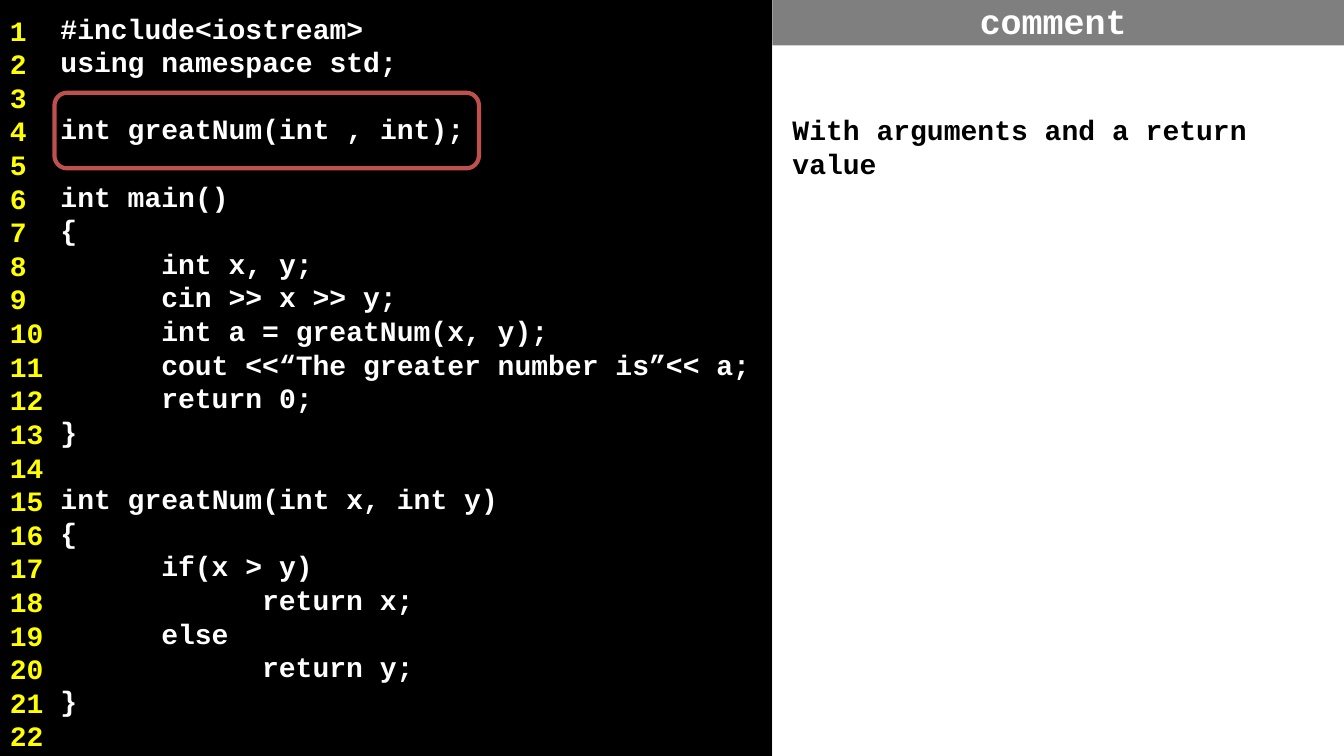
import pptx
import pptx.util
import pptx.dml.color
import pptx.enum.shapes
import pptx.enum.text
import pptx.oxml
import pptx.oxml.ns

Inches = pptx.util.Inches
Pt = pptx.util.Pt
SHAPES = pptx.enum.shapes.MSO_SHAPE
ALIGN = pptx.enum.text.PP_ALIGN
ANCHOR = pptx.enum.text.MSO_ANCHOR

COLORS = {
    "code": "000000",
    "text": "FFFFFF",
    "number": "FFFF00",
    "paper": "FFFFFF",
    "note": "000000",
    "header": "7F7F7F",
    "highlight": "C0504D",
}
FONT = "Courier New"
LINE_PITCH = 24
TAB_WIDTH = 1
SPLIT = 7.66
SIDE = 5.67
GUTTER = 0.58

CODE = """#include<iostream>
using namespace std;

int greatNum(int , int);

int main()
{
\tint x, y;
\tcin >> x >> y;
\tint a = greatNum(x, y);
\tcout <<“The greater number is”<< a;
\treturn 0;
}

int greatNum(int x, int y)
{
\tif(x > y)
\t\treturn x;
\telse
\t\treturn y;
}"""


def rgb(name):
    """Return the named colour."""
    return pptx.dml.color.RGBColor.from_string(COLORS[name])


def add_panel(page, left, top, width, height, color, opacity=100):
    """Add a borderless filled rectangle."""
    panel = page.shapes.add_shape(
        SHAPES.RECTANGLE, Inches(left), Inches(top), Inches(width), Inches(height))
    panel.shadow.inherit = False
    panel.line.fill.background()
    panel.fill.solid()
    panel.fill.fore_color.rgb = rgb(color)
    if opacity < 100:
        tint = panel.fill._xPr.find(".//" + pptx.oxml.ns.qn("a:srgbClr"))
        alpha = pptx.oxml.parse_xml(
            "<a:alpha %s val='%d'/>" % (pptx.oxml.ns.nsdecls("a"), opacity * 1000))
        tint.append(alpha)
    return panel


def prepare_frame(panel, insets, anchor=ANCHOR.TOP):
    """Set the left, top, right and bottom insets and the anchor."""
    frame = panel.text_frame
    frame.word_wrap = True
    frame.vertical_anchor = anchor
    (frame.margin_left, frame.margin_top,
     frame.margin_right, frame.margin_bottom) = map(Inches, insets)
    return frame


def format_para(para, color, size=20, align=ALIGN.LEFT):
    """Apply the bold code font and the tab width to a paragraph."""
    para.alignment = align
    para._p.get_or_add_pPr().set("defTabSz", str(Inches(TAB_WIDTH)))
    for span in para.runs:
        span.font.name = FONT
        span.font.size = Pt(size)
        span.font.bold = True
        span.font.color.rgb = rgb(color)


def write_lines(panel, lines, color, insets):
    """Write lines on a fixed pitch; an empty line becomes space before."""
    frame = prepare_frame(panel, insets)
    skipped = 0
    for index, line in enumerate(lines):
        if not line:
            skipped += 1
            continue
        para = frame.add_paragraph() if index else frame.paragraphs[0]
        para.text = line
        para.line_spacing = Pt(LINE_PITCH)
        para.space_before = Pt(skipped * LINE_PITCH)
        format_para(para, color)
        skipped = 0


def add_header(page, title):
    """Add the title bar above the comments."""
    header = add_panel(page, SPLIT, 0, SIDE, 0.45, "header")
    frame = prepare_frame(header, (0, 0.05, 0.1, 0.1), ANCHOR.MIDDLE)
    frame.text = title
    format_para(frame.paragraphs[0], "text", 25, ALIGN.CENTER)


def add_highlight(page, left, top, width, height):
    """Add a rounded outline around a piece of code."""
    outline = page.shapes.add_shape(
        SHAPES.ROUNDED_RECTANGLE,
        Inches(left), Inches(top), Inches(width), Inches(height))
    outline.shadow.inherit = False
    outline.fill.background()
    outline.line.color.rgb = rgb("highlight")
    outline.line.width = Pt(3)


def main():
    """Build the code slide."""
    deck = pptx.Presentation()
    deck.slide_width, deck.slide_height = Inches(13.33), Inches(7.5)
    page = deck.slides.add_slide(deck.slide_layouts[6])

    code = add_panel(page, 0, 0, SPLIT, 7.5, "code")
    write_lines(code, CODE.split("\n"), "text", (0.6, 0.11, 0.1, 0))

    add_panel(page, 0, 0, GUTTER, 0.08, "code", 68)
    gutter = add_panel(page, 0, 0.08, GUTTER, 7.42, "code", 68)
    numbers = [str(number) for number in range(1, 23)]
    write_lines(gutter, numbers, "number", (0.1, 0.05, 0.1, 0))

    comments = add_panel(page, SPLIT, 0.4, SIDE, 7.1, "paper")
    write_lines(comments, ["With arguments and a return value"], "note",
                (0.2, 0.72, 0, 0))
    add_header(page, "comment")
    add_highlight(page, 0.54, 0.92, 4.21, 0.75)

    deck.save("out.pptx")


main()
